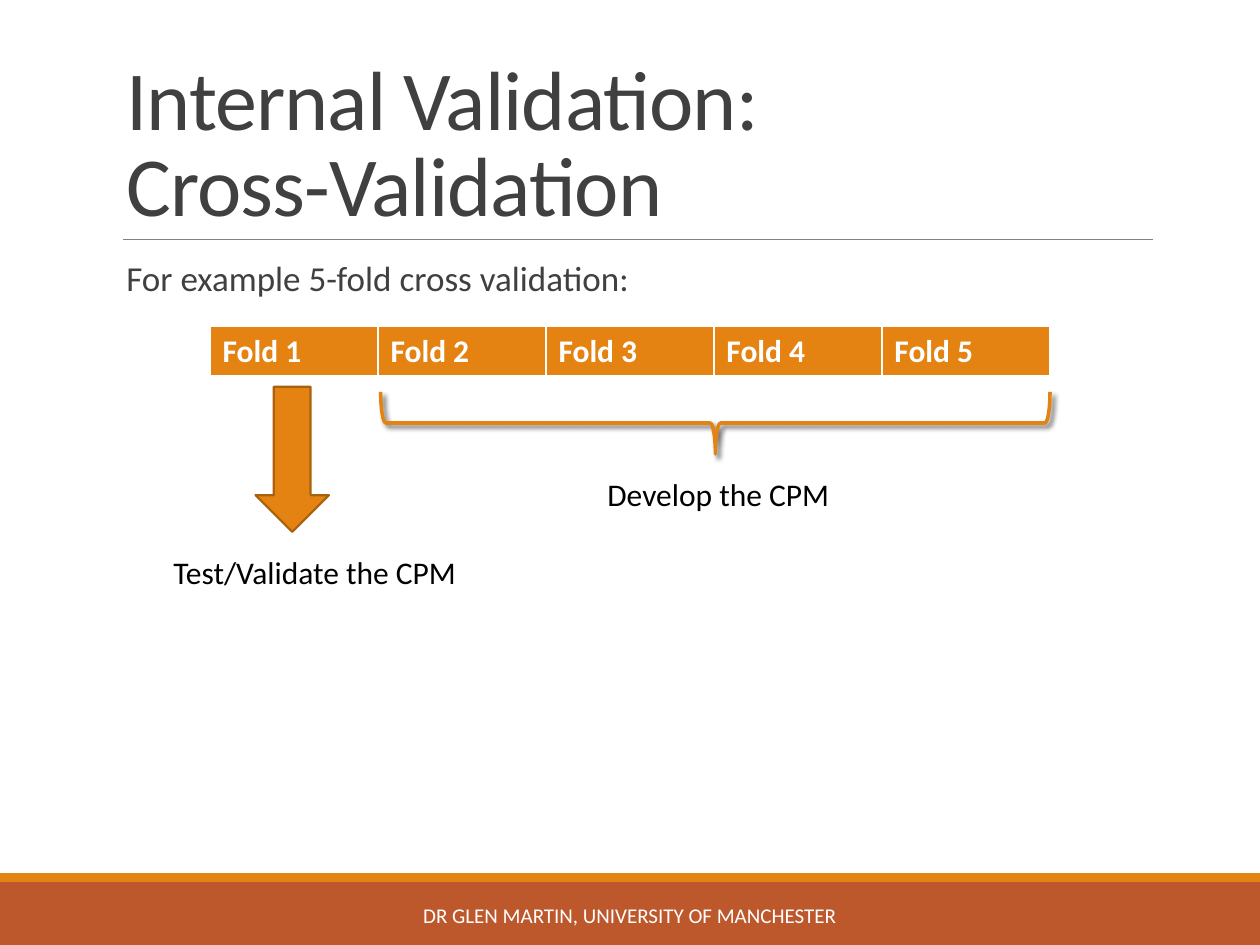
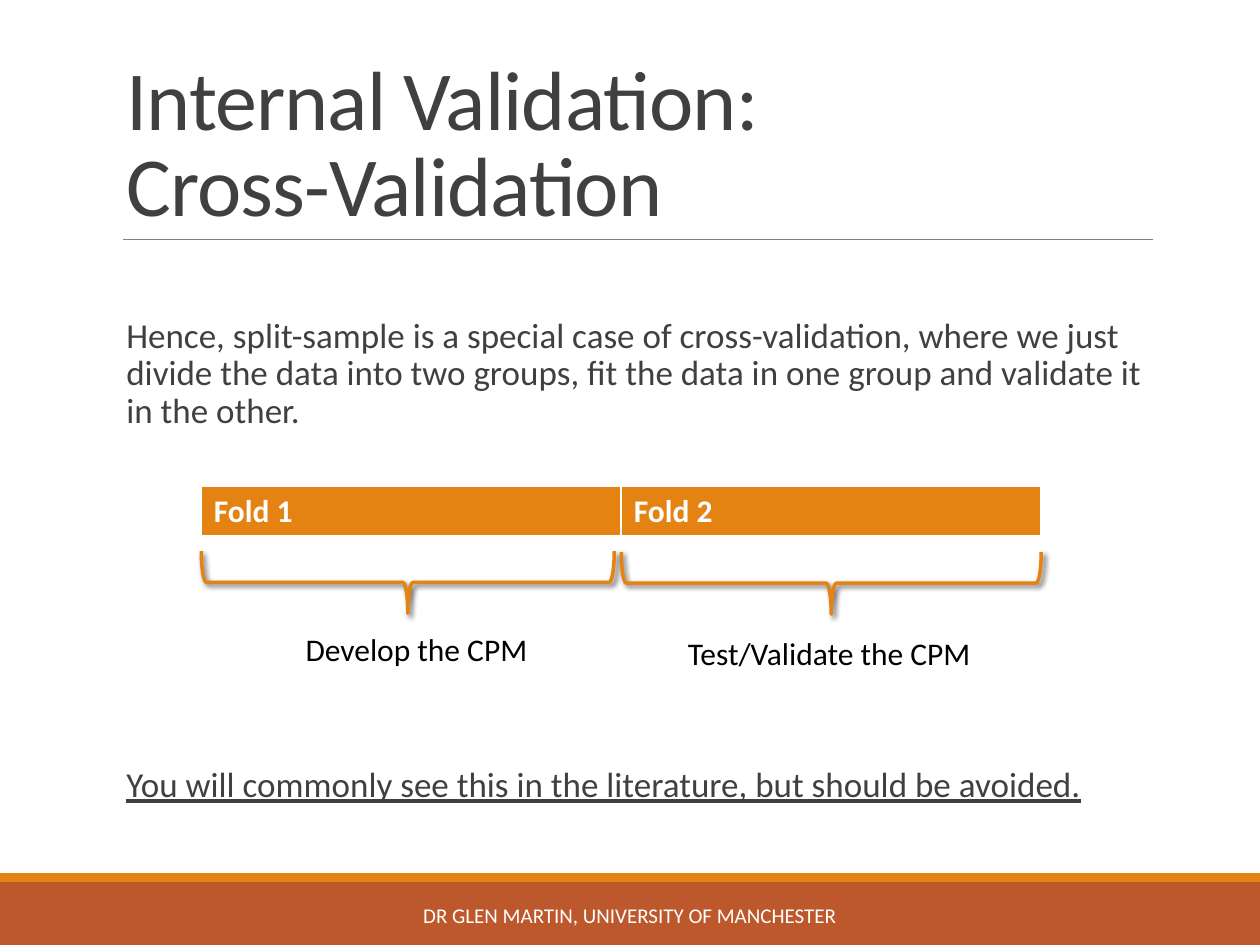
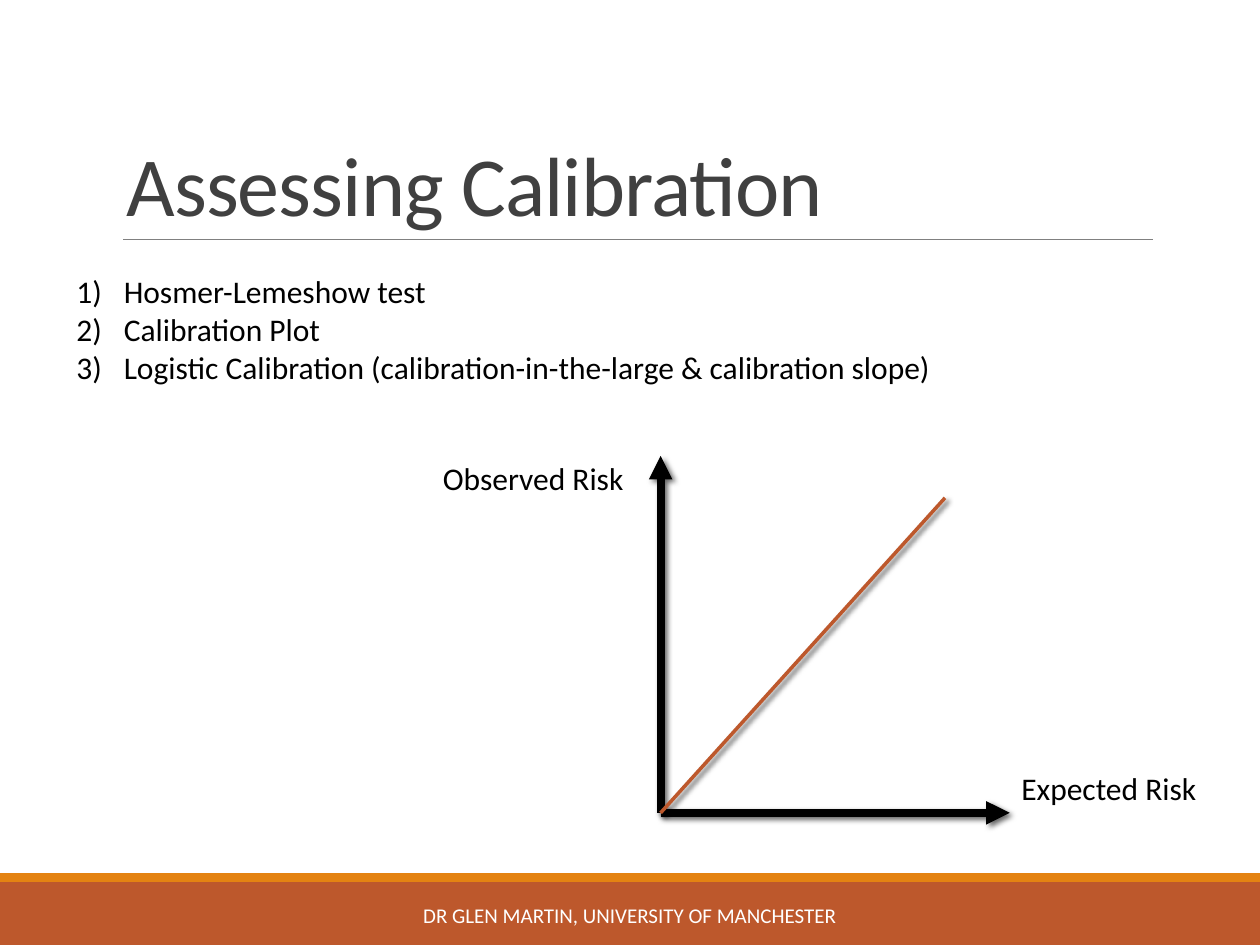
from typing import Any, NamedTuple

from lxml.etree import SubElement
from pptx import Presentation
from pptx.dml.color import RGBColor
from pptx.enum.shapes import MSO_CONNECTOR as Conn, MSO_SHAPE as Kind
from pptx.enum.text import MSO_ANCHOR as Anchor, MSO_AUTO_SIZE as Auto, PP_ALIGN as Align
from pptx.oxml.ns import qn
from pptx.util import Pt

ORANGE = RGBColor(0xE4, 0x83, 0x12)
RUST = RGBColor(0xBD, 0x58, 0x2C)
BROWN = RGBColor(0xA9, 0x61, 0x0D)
DARK = RGBColor(0x40, 0x40, 0x40)
GREY = RGBColor(0x80, 0x80, 0x80)
WHITE = RGBColor(0xFF, 0xFF, 0xFF)
BLACK = RGBColor(0, 0, 0)

FACE = "Calibri"
FOOTER = "DR GLEN MARTIN, UNIVERSITY OF MANCHESTER"
DEVELOP = "Develop the CPM"
TEST = "Test/Validate the CPM"
CROSS = "Internal Validation: Cross-Validation"


class Box(NamedTuple):
    x: float
    y: float
    w: float
    h: float

    def sides(self) -> list[int]:
        return [Pt(side) for side in self]


class Look(NamedTuple):
    font: dict[str, Any]
    color: RGBColor
    para: dict[str, Any] = {}


class Note(NamedTuple):
    box: Box
    text: str


class Line(NamedTuple):
    start: tuple[float, float]
    end: tuple[float, float]
    color: RGBColor
    width: float
    arrow: bool = False
    shade: bool = True


class Item(NamedTuple):
    text: str
    gap: float = 0
    under: bool = False


class Body(NamedTuple):
    box: Box
    look: Look
    side: float
    indent: float
    bullet: tuple[str, dict[str, str]]


TITLE = Look({"name": FACE, "size": Pt(48)}, DARK,
             {"alignment": Align.LEFT, "line_spacing": 0.85})
TEXT = Look({"name": FACE, "size": Pt(20)}, DARK,
            {"line_spacing": 0.9, "space_after": Pt(2)})
LABEL = Look({"name": FACE, "size": Pt(18)}, BLACK)
HEAD = Look({"name": FACE, "size": Pt(18), "bold": True}, WHITE)
FOOT = Look({"name": FACE, "size": Pt(12)}, WHITE, {"alignment": Align.CENTER})
BLANK = ("a:buChar", {"char": " "})
COUNT = ("a:buAutoNum", {"type": "arabicParenR"})


def put(target: Any, values: dict[str, Any]) -> None:
    for name, value in values.items():
        setattr(target, name, value)


def place(shape: Any, box: Box) -> None:
    put(shape, dict(zip(("left", "top", "width", "height"), box.sides())))


def write(para: Any, text: str, look: Look) -> Any:
    run = para.add_run()
    run.text = text
    put(run.font, look.font)
    run.font.color.rgb = look.color
    put(para, look.para)
    return run


def shade(shape: Any, on: bool) -> None:
    effects = shape.element.spPr.get_or_add_effectLst()
    if on:
        outer = SubElement(effects, qn("a:outerShdw"), blurRad=str(Pt(3)),
                           dist=str(Pt(2)), dir="2700000", rotWithShape="0")
        color = SubElement(outer, qn("a:srgbClr"), val=str(BLACK))
        SubElement(color, qn("a:alpha"), val="60000")


def draw_line(slide: Any, line: Line) -> Any:
    ends = [Pt(value) for value in line.start + line.end]
    shape = slide.shapes.add_connector(Conn.STRAIGHT, *ends)
    shape.line.color.rgb = line.color
    shape.line.width = Pt(line.width)
    if line.arrow:
        SubElement(shape.element.spPr.get_or_add_ln(), qn("a:tailEnd"), type="triangle")
    shade(shape, line.shade)
    return shape


def draw_fill(slide: Any, kind: Kind, box: Box, color: RGBColor) -> Any:
    shape = slide.shapes.add_shape(kind, *box.sides())
    shape.shadow.inherit = False
    shape.fill.solid()
    shape.fill.fore_color.rgb = color
    shape.line.fill.background()
    return shape


def draw_brace(slide: Any, box: Box) -> None:
    shift = (box.w - box.h) / 2
    turned = Box(box.x + shift, box.y - shift, box.h, box.w)
    shape = slide.shapes.add_shape(Kind.RIGHT_BRACE, *turned.sides())
    shape.rotation = 90
    shape.fill.background()
    shape.line.color.rgb = ORANGE
    shape.line.width = Pt(2)
    shade(shape, True)


def draw_note(slide: Any, note: Note, look: Look = LABEL,
              anchor: Anchor = Anchor.TOP) -> None:
    frame = slide.shapes.add_textbox(*note.box.sides()).text_frame
    put(frame, {"word_wrap": True, "vertical_anchor": anchor})
    write(frame.paragraphs[0], note.text, look)


def draw_folds(slide: Any, box: Box, count: int) -> None:
    table = slide.shapes.add_table(1, count, *box.sides()).table
    table.horz_banding = False
    for index, cell in enumerate(table.iter_cells(), 1):
        props = cell._tc.get_or_add_tcPr()
        for side, width in {"L": 1, "R": 1, "T": 1, "B": 3}.items():
            edge = SubElement(props, qn(f"a:ln{side}"), w=str(Pt(width)))
            SubElement(SubElement(edge, qn("a:solidFill")), qn("a:srgbClr"), val=str(WHITE))
        cell.fill.solid()
        cell.fill.fore_color.rgb = ORANGE
        write(cell.text_frame.paragraphs[0], f"Fold {index}", HEAD)


def fill_body(slide: Any, body: Body, items: list[Item]) -> None:
    shape = slide.placeholders[1]
    place(shape, body.box)
    frame = shape.text_frame
    put(frame, {"margin_left": Pt(body.side), "margin_right": Pt(body.side),
                "auto_size": Auto.NONE, "word_wrap": True})
    tag, attrs = body.bullet
    for index, item in enumerate(items):
        para = frame.add_paragraph() if index else frame.paragraphs[0]
        props = para._p.get_or_add_pPr()
        props.set("marL", str(Pt(body.indent)))
        props.set("indent", str(Pt(-body.indent)))
        SubElement(props, qn(tag), attrs)
        para.space_before = Pt(item.gap)
        run = write(para, item.text, body.look)
        if item.under:
            run.font.underline = True


def share(slide: Any, layout: Any) -> None:
    for holder in list(layout.placeholders):
        if holder.placeholder_format.idx >= 10:
            layout.shapes.element.remove(holder.element)
    parts = [
        draw_fill(slide, Kind.RECTANGLE, Box(0, 504, 720, 36), RUST),
        draw_fill(slide, Kind.RECTANGLE, Box(0, 499, 720, 5), ORANGE),
        draw_line(slide, Line((70.5, 137), (659, 137), GREY, 0.5, shade=False)),
    ]
    for part in parts:
        layout.shapes.element.append(part.element)


def start(deck: Any, title: str) -> Any:
    layout = deck.slide_layouts[1]
    slide = deck.slides.add_slide(layout)
    if len(deck.slides) == 1:
        share(slide, layout)
    head = slide.shapes.title
    place(head, Box(65, 22.5, 438, 114.5))
    put(head.text_frame, {"vertical_anchor": Anchor.BOTTOM, "auto_size": Auto.NONE,
                          "word_wrap": True})
    run = write(head.text_frame.paragraphs[0], title, TITLE)
    run._r.get_or_add_rPr().set("spc", "-50")
    draw_note(slide, Note(Box(217.5, 508.5, 285, 28.75), FOOTER), FOOT, Anchor.MIDDLE)
    return slide


def five_fold(deck: Any) -> None:
    slide = start(deck, CROSS)
    body = Body(Box(65, 145.5, 594, 32.5), TEXT, 0, 7.2, BLANK)
    fill_body(slide, body, [Item("For example 5-fold cross validation:")])
    draw_folds(slide, Box(120, 186.5, 480, 29.2), 5)
    draw_brace(slide, Box(217.5, 224, 382.5, 35.5))
    arrow = draw_fill(slide, Kind.DOWN_ARROW, Box(146, 221, 42, 83), ORANGE)
    arrow.line.color.rgb = BROWN
    arrow.line.width = Pt(1.25)
    for note in (Note(Box(340, 268, 146, 29), DEVELOP),
                 Note(Box(92, 312.5, 180, 29), TEST)):
        draw_note(slide, note)


def two_fold(deck: Any) -> None:
    slide = start(deck, CROSS)
    body = Body(Box(65, 178, 594, 318), TEXT, 0, 7.2, BLANK)
    fill_body(slide, body, [
        Item("Hence, split-sample is a special case of cross-validation, where we just "
             "divide the data into two groups, fit the data in one group and validate it "
             "in the other."),
        Item("You will commonly see this in the literature, but should be avoided.",
             190, True),
    ])
    draw_folds(slide, Box(115, 278, 480, 29.2), 2)
    for box in (Box(115, 315, 236, 35.5), Box(355, 315.5, 240, 35.5)):
        draw_brace(slide, box)
    for note in (Note(Box(167.5, 356.5, 146, 29), DEVELOP),
                 Note(Box(386, 359, 180, 29), TEST)):
        draw_note(slide, note)


def calibrate(deck: Any) -> None:
    slide = start(deck, "Assessing Calibration")
    body = Body(Box(36.5, 152, 520, 73), LABEL, 7.2, 27, COUNT)
    fill_body(slide, body, [
        Item("Hosmer-Lemeshow test"),
        Item("Calibration Plot"),
        Item("Logistic Calibration (calibration-in-the-large & calibration slope)"),
    ])
    zero = (377.5, 464.5)
    for line in (Line(zero, (377.5, 260.5), BLACK, 4.5, True),
                 Line(zero, (577, 464.5), BLACK, 4.5, True),
                 Line(zero, (540, 284.5), RUST, 2)):
        draw_line(slide, line)
    for note in (Note(Box(246, 258.5, 119, 29), "Observed Risk"),
                 Note(Box(576.5, 436, 140, 29), "Expected Risk")):
        draw_note(slide, note)


def main() -> None:
    deck = Presentation()
    put(deck, {"slide_width": Pt(720), "slide_height": Pt(540)})
    for build in (five_fold, two_fold, calibrate):
        build(deck)
    deck.save("out.pptx")


if __name__ == "__main__":
    main()
